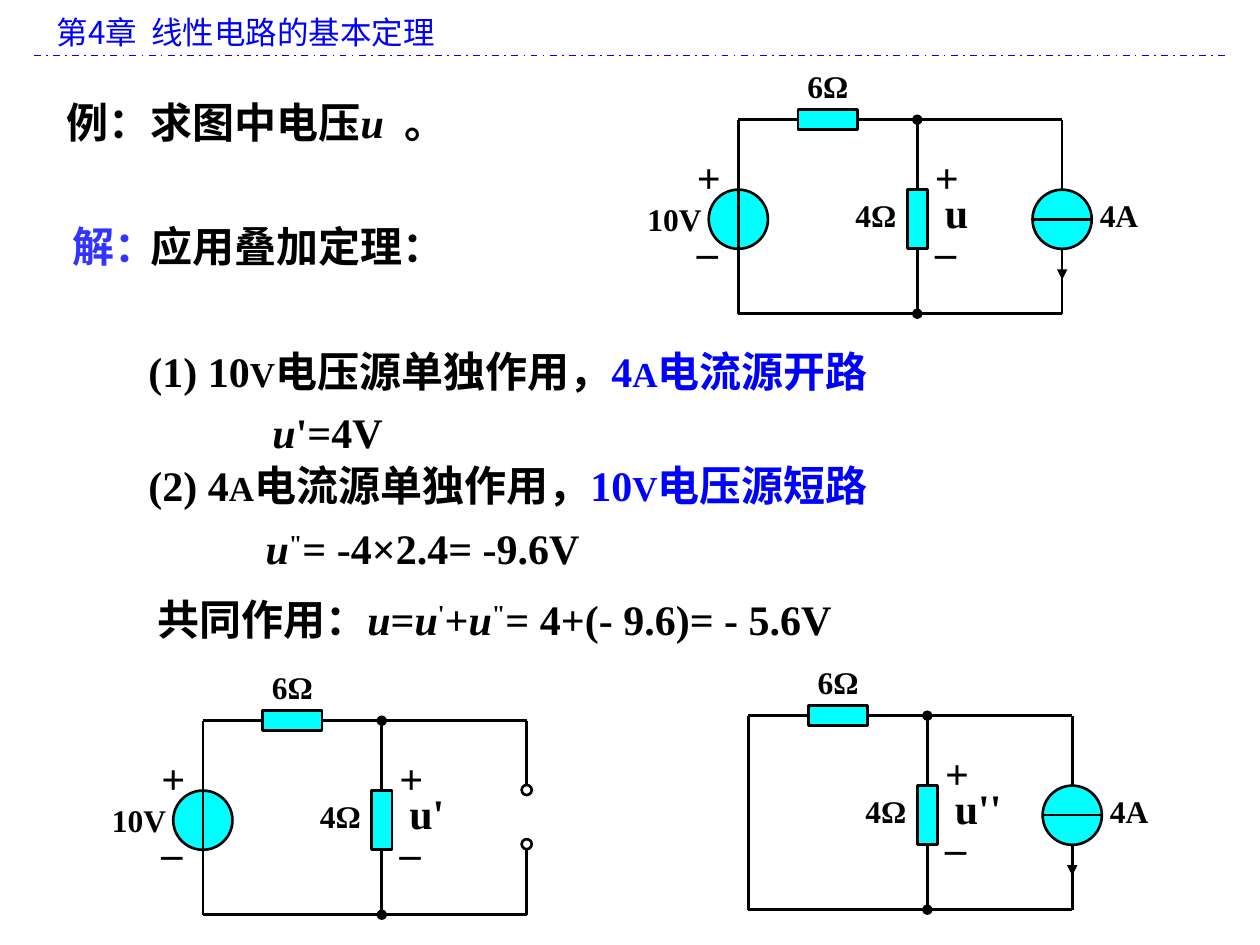
"""Build the superposition theorem example slide with its three circuits."""
from lxml import etree
from pptx import Presentation, util as u
from pptx.dml.color import RGBColor
from pptx.enum import dml, shapes, text
from pptx.oxml.ns import qn

COLORS = {"ink": "000000", "blue": "0000FF", "answer": "3333FF", "part": "00FFFF"}
LATIN, CJK = "Times New Roman", "Noto Sans CJK SC"
ITALIC, SMALL, SUPER = {"italic": True}, {"size": 20}, {"baseline": 30000}
BLUE, BLUE_SMALL = {"color": "blue"}, {"color": "blue", "size": 20}
MIDDLE, CENTER = text.MSO_ANCHOR.MIDDLE, text.PP_ALIGN.CENTER


def rgb(name):
    """Return the named colour."""
    return RGBColor.from_string(COLORS[name])


def add_runs(p, runs, **base):
    """Add (text, format changes) runs to a paragraph."""
    for words, changes in runs:
        fmt = {"size": 24, "name": LATIN, "bold": True, "italic": False,
               "color": "ink", "baseline": None, **base, **changes}
        color, baseline = fmt.pop("color"), fmt.pop("baseline")
        fmt["size"] = u.Pt(fmt["size"])
        r = p.add_run()
        r.text = words
        for key, value in fmt.items():
            setattr(r.font, key, value)
        r.font.color.rgb = rgb(color)
        rPr = r._r.get_or_add_rPr()
        etree.SubElement(rPr, qn("a:ea")).set("typeface", CJK)
        if baseline:
            rPr.set("baseline", str(baseline))


def add_text(parent, x, y, w, h, runs, anchor=text.MSO_ANCHOR.TOP,
             align=text.PP_ALIGN.LEFT, wrap=True, **base):
    """Add a one-paragraph text box; runs may be a plain string."""
    sp = parent.add_textbox(*map(u.Inches, (x, y, w, h)))
    tf = sp.text_frame
    fmt = {"word_wrap": wrap, "vertical_anchor": anchor,
           "auto_size": text.MSO_AUTO_SIZE.SHAPE_TO_FIT_TEXT}
    for key, value in fmt.items():
        setattr(tf, key, value)
    p = tf.paragraphs[0]
    p.alignment = align
    add_runs(p, [(runs, {})] if isinstance(runs, str) else runs, **base)


def add_line(parent, x1, y1, x2, y2, color="ink", width=1.5, head=None, tail=None):
    """Add a straight line with optional end marks."""
    sp = parent.add_connector(shapes.MSO_CONNECTOR.STRAIGHT,
                              *map(u.Inches, (x1, y1, x2, y2)))
    sp.line.color.rgb = rgb(color)
    sp.line.width = u.Pt(width)
    for tag, kind in (("a:headEnd", head), ("a:tailEnd", tail)):
        if kind:
            etree.SubElement(sp.line._get_or_add_ln(), qn(tag)).set("type", kind)
    etree.SubElement(sp._element.spPr, qn("a:effectLst"))
    return sp


def add_part(parent, kind, cx, cy, w, h, fill="part", rotation=0):
    """Add an outlined circuit part centred on a point."""
    sp = parent.add_shape(kind, *map(u.Inches, (cx - w / 2, cy - h / 2, w, h)))
    sp.shadow.inherit = False
    sp.rotation = rotation
    if fill:
        sp.fill.solid()
        sp.fill.fore_color.rgb = rgb(fill)
    else:
        sp.fill.background()
    sp.line.color.rgb = rgb("ink")
    sp.line.width = u.Pt(1.5)


def add_polarity(parent, x, y):
    """Add the plus and minus signs of a voltage."""
    add_text(parent, x, y, 0.39, 0.5, "+", MIDDLE, CENTER, wrap=False)
    add_text(parent, x, y + 0.48, 0.37, 0.5, "_", MIDDLE, CENTER)


def add_circuit(s, x, y, name, name_width, voltage=True, current=True):
    """Add a circuit whose sources may be shorted or opened."""
    parent = s.shapes.add_group_shape().shapes
    oval, rect = shapes.MSO_SHAPE.OVAL, shapes.MSO_SHAPE.RECTANGLE
    mid, right, bottom, center = x + 1.42, x + 2.57, y + 1.54, y + 0.79

    add_line(parent, mid, y, mid, bottom, head="oval", tail="oval")
    if voltage:
        add_part(parent, oval, x, center, 0.47, 0.47)
        add_polarity(parent, x - 0.43, y + 0.2)
        add_text(parent, x - 0.82, y + 0.59, 1.14, 0.4, "10V", size=18)
    add_line(parent, x, y, x, bottom)
    for level in (y, bottom):
        add_line(parent, x, level, right, level)

    if current:
        add_line(parent, right, y, right, bottom)
        add_line(parent, right, y + 1.27, right, y + 1.03, head="triangle")
        add_part(parent, oval, right, center, 0.47, 0.47, rotation=270)
        add_line(parent, right - 0.24, center, right + 0.24, center)
        add_text(parent, x + 2.77, y + 0.56, 0.62, 0.4, "4A", size=18)
    else:
        add_line(parent, right, y, right, y + 0.51)
        add_line(parent, right, y + 1.02, right, bottom)
        for offset in (0.55, 0.98):
            add_part(parent, oval, right, y + offset, 0.08, 0.08, fill=None)

    add_part(parent, rect, x + 0.71, y, 0.47, 0.16)
    add_part(parent, rect, mid, center, 0.47, 0.16, rotation=90)
    add_text(parent, x + 0.45, y - 0.47, 0.62, 0.4, "6Ω", size=18)
    add_text(parent, x + 0.83, y + 0.56, 0.62, 0.4, "4Ω", size=18)
    add_polarity(parent, x + 1.46, y + 0.2)
    add_text(parent, x + 1.54, y + 0.48, name_width, 0.5, name)


def add_header(s):
    """Fill the title with the chapter name and rule it off."""
    sp = s.shapes.title
    box = {"left": 0.35, "top": 0.05, "width": 9.37, "height": 0.4}
    for key, value in box.items():
        setattr(sp, key, u.Inches(value))
    tf = sp.text_frame
    tf.vertical_anchor = text.MSO_ANCHOR.TOP
    tf.auto_size = text.MSO_AUTO_SIZE.NONE
    p = tf.paragraphs[0]
    p.alignment = text.PP_ALIGN.LEFT
    add_runs(p, [("第4章  线性电路的基本定理", {})],
             size=18, name=CJK, bold=False, color="blue")
    rule = add_line(s.shapes, 0.27, 0.44, 9.72, 0.44, "blue", 1)
    rule.line.dash_style = dml.MSO_LINE.DASH_DOT


def add_solution(s):
    """Add the question and the steps of its answer."""
    lines = [
        (0.43, 0.72, 3.7, [("例：求图中电压", {}), ("u  ", ITALIC), ("。", {})]),
        (1.08, 2.69, 8.29, [("(1) 10", {}), ("V", SMALL), ("电压源单独作用，", {}),
                            ("4", BLUE), ("A", BLUE_SMALL), ("电流源开路", BLUE)]),
        (1.08, 3.6, 8.49, [("(2) 4", {}), ("A", SMALL), ("电流源单独作用，", {}),
                           ("10", BLUE), ("V", BLUE_SMALL), ("电压源短路", BLUE)]),
        (2.01, 4.1, 5.83, [("u", ITALIC), ('"', SUPER), ("= -4×2.4= -9.6V", {})]),
        (1.15, 4.66, 7.12, [("共同作用：", {}), ("u", ITALIC), ("=", {}),
                            ("u", ITALIC), ("'", SUPER), ("+", {}), ("u", ITALIC),
                            ('"', SUPER), ("= 4+(- 9.6)= - 5.6V", {})]),
    ]
    for x, y, w, runs in lines:
        add_text(s.shapes, x, y, w, 0.5, runs, MIDDLE)
    add_text(s.shapes, 1.85, 3.18, 1.5, 0.5, [("u", ITALIC), ("'=4V", {})],
             MIDDLE, CENTER)
    add_text(s.shapes, 0.48, 1.7, 0.9, 0.5, "解：", color="answer")
    add_text(s.shapes, 1.1, 1.7, 3.27, 0.5, "应用叠加定理：")


def main():
    """Build and save the slide."""
    prs = Presentation()
    prs.slide_width, prs.slide_height = u.Inches(10), u.Inches(7.5)
    s = prs.slides.add_slide(prs.slide_layouts[5])
    add_header(s)
    add_solution(s)
    add_circuit(s, 5.86, 0.95, "u", 0.34)
    add_circuit(s, 1.61, 5.72, "u'", 0.63, current=False)
    add_circuit(s, 5.94, 5.68, "u''", 0.67, voltage=False)
    prs.save("out.pptx")


if __name__ == "__main__":
    main()
